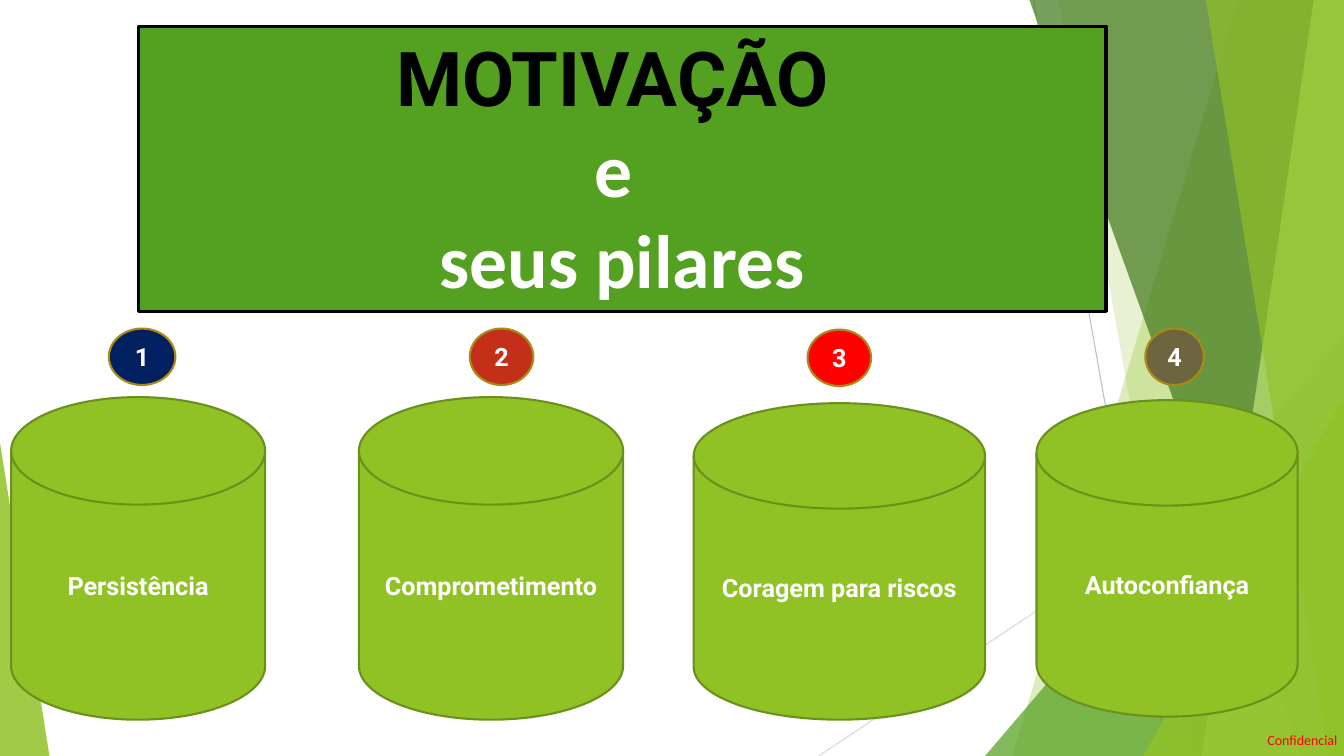
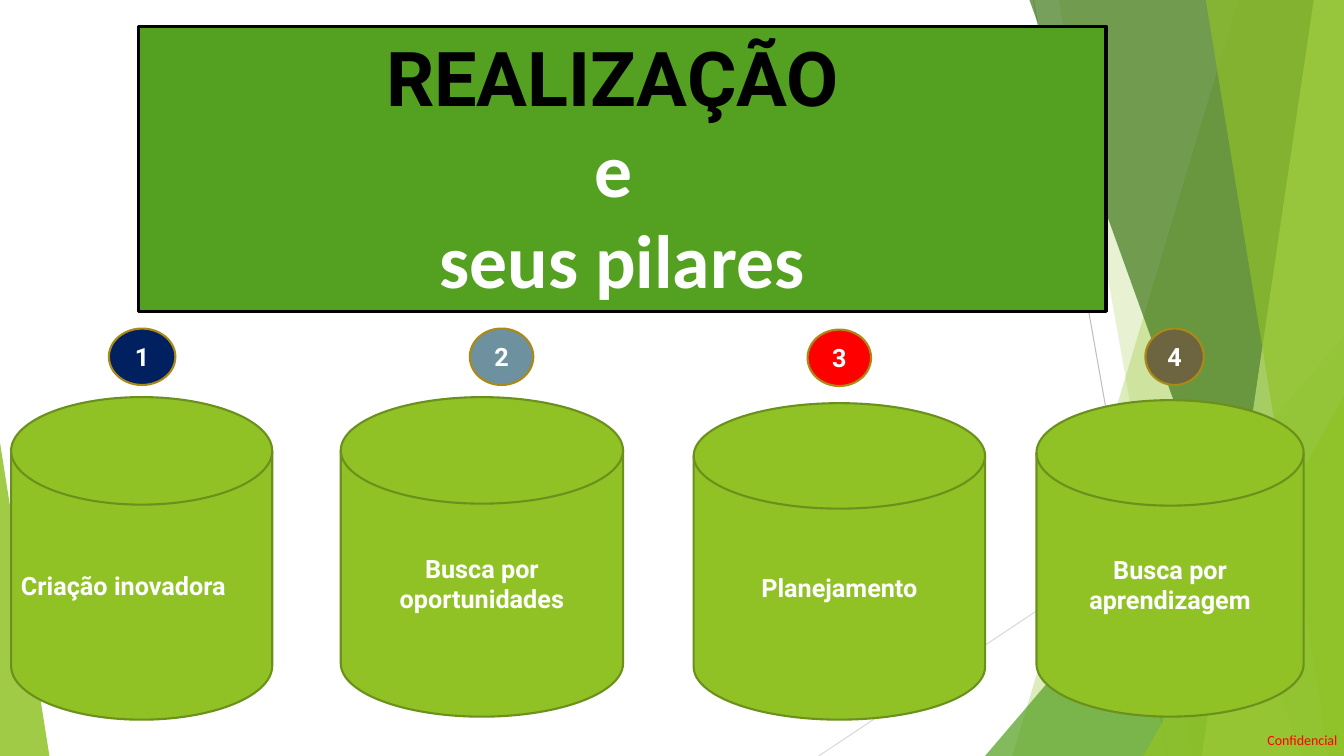
import lxml.etree
import pptx
import pptx.dml.color
import pptx.enum.shapes
import pptx.enum.text
import pptx.oxml.ns
import pptx.util

Inches = pptx.util.Inches
KIND = pptx.enum.shapes.MSO_SHAPE
ALIGN = pptx.enum.text.PP_ALIGN
ANCHOR = pptx.enum.text.MSO_ANCHOR
qn = pptx.oxml.ns.qn


class Theme:
    lime = "90C226"
    green = "54A021"
    dark = "3F7819"
    pale = "C0E474"
    edge = "6B901C"
    gold = "AA8916"
    navy = "002060"
    rust = "C42F1A"
    steel = "6E91A0"
    red = "FF0000"
    olive = "6D6540"
    black = "000000"
    white = "FFFFFF"
    silver = "BFBFBF"
    mist = "D9D9D9"
    head = "Roboto"
    body = "Calibri"
    big = 54
    mid = 18
    small = 10


def paint(shape, fill, line=None, width=1.5, alpha=None):
    """Fill and outline a shape; alpha is the opacity in percent."""
    rgb = pptx.dml.color.RGBColor.from_string
    shape.shadow.inherit = False
    shape.fill.solid()
    shape.fill.fore_color.rgb = rgb(fill)
    if alpha:
        tint = shape.fill._xPr.find(".//" + qn("a:srgbClr"))
        lxml.etree.SubElement(tint, qn("a:alpha"), val=str(alpha * 1000))
    if line:
        shape.line.color.rgb = rgb(line)
        shape.line.width = pptx.util.Pt(width)
    else:
        shape.line.fill.background()


def write(para, size, font, color, bold=True, align=ALIGN.CENTER):
    para.alignment = align
    for run in para.runs:
        run.font.size = pptx.util.Pt(size)
        run.font.name = font
        run.font.bold = bold
        run.font.color.rgb = pptx.dml.color.RGBColor.from_string(color)


WIDE, HIGH = 13.33, 7.5
deck = pptx.Presentation()
deck.slide_width, deck.slide_height = Inches(WIDE), Inches(HIGH)
layout = deck.slide_layouts.get_by_name("Title Only")

# Title, colour of badge 2, then label, left, top, width, height of each disk
topics = [
    ("MOTIVAÇÃO ", Theme.rust, [
        ("Persistência", 0.11, 3.94, 2.52, 3.2),
        ("Comprometimento", 3.56, 3.94, 2.62, 3.2),
        ("Coragem para riscos", 6.88, 4, 2.89, 3.14),
        ("Autoconfiança", 10.28, 3.97, 2.59, 3.14)]),
    ("REALIZAÇÃO ", Theme.steel, [
        ("Criação inovadora", 0.11, 3.94, 2.59, 3.2),
        ("Busca por oportunidades", 3.38, 3.94, 2.8, 3.17),
        ("Planejamento", 6.88, 4, 2.89, 3.14),
        ("Busca por aprendizagem", 10.28, 3.97, 2.65, 3.14)]),
]
slides = [deck.slides.add_slide(layout) for topic in topics]

# Shared backdrop: drawn once, then moved to the layout
shapes = slides[0].shapes
decor = []
for x1, y1, x2, y2, color in [(10.25, 0, 11.58, HIGH, Theme.silver),
                              (WIDE, 4.03, 8.12, HIGH, Theme.mist)]:
    line = shapes.add_connector(
        pptx.enum.shapes.MSO_CONNECTOR.STRAIGHT,
        Inches(x1), Inches(y1), Inches(x2), Inches(y2))
    line.line.color.rgb = pptx.dml.color.RGBColor.from_string(color)
    line.line.width = pptx.util.Pt(0.75)
    lxml.etree.SubElement(line.element.spPr, qn("a:effectLst"))
    decor.append(line)

# Bands run to the right edge from (top x, bottom x);
# triangles give left, top, width and the place of their tip
for spot, color, alpha in [
        ((12.28, 10.04), Theme.lime, 30),
        ((10.5, 11.83), Theme.lime, 20),
        ((9.77, 3.33, 3.56, 1), Theme.green, 72),
        ((10.21, 12.91), Theme.dark, 70),
        ((13.03, 11.92), Theme.pale, 70),
        ((11.96, 13.18), Theme.lime, 65),
        ((11.34, 3.93, 1.99, 1), Theme.lime, 80),
        ((0, 4.39, 0.49, 0), Theme.lime, 85)]:
    if len(spot) == 2:
        top, base = spot
        path = shapes.build_freeform(Inches(top), 0)
        path.add_line_segments(
            [(Inches(x), Inches(y))
             for x, y in [(WIDE, 0), (WIDE, HIGH), (base, HIGH)]])
        shard = path.convert_to_shape()
    else:
        left, top, width, tip = spot
        shard = shapes.add_shape(
            KIND.ISOSCELES_TRIANGLE, Inches(left), Inches(top),
            Inches(width), Inches(HIGH - top))
        shard.adjustments[0] = tip
    paint(shard, color, alpha=alpha)
    decor.append(shard)

label = shapes.add_textbox(
    Inches(12.57), Inches(7.26), Inches(0.73), Inches(0.17))
frame = label.text_frame
frame.word_wrap = True
frame.margin_left = frame.margin_right = 0
frame.margin_top = frame.margin_bottom = 0
frame.text = "Confidencial"
write(frame.paragraphs[0], Theme.small, Theme.body, Theme.red,
      bold=False, align=ALIGN.LEFT)
decor.append(label)

for item in decor:
    layout.shapes.element.append(item.element)

for slide, (name, second, disks) in zip(slides, topics):
    title = slide.shapes.title
    title.left, title.top = Inches(1.37), Inches(0.26)
    title.width, title.height = Inches(9.6), Inches(2.83)
    paint(title, Theme.green, Theme.black, 2.25)
    frame = title.text_frame
    frame.text = "\n".join([name, "e ", "seus pilares"])
    frame.auto_size = pptx.enum.text.MSO_AUTO_SIZE.NONE
    frame.vertical_anchor = ANCHOR.TOP
    first, *rest = frame.paragraphs
    write(first, Theme.big, Theme.head, Theme.black)
    for para in rest:
        write(para, Theme.big, Theme.body, Theme.white)

    badges = [(1.08, 3.26, 0.66, Theme.navy), (4.66, 3.26, 0.63, second),
              (8.01, 3.27, 0.63, Theme.red), (11.36, 3.26, 0.58, Theme.olive)]
    parts = [(KIND.OVAL, str(rank), left, top, width, 0.56, color, Theme.gold)
             for rank, (left, top, width, color) in enumerate(badges, 1)]
    parts += [(KIND.FLOWCHART_MAGNETIC_DISK, *disk, Theme.lime, Theme.edge)
              for disk in disks]
    for kind, text, left, top, width, height, fill, edge in parts:
        shape = slide.shapes.add_shape(
            kind, Inches(left), Inches(top), Inches(width), Inches(height))
        paint(shape, fill, edge)
        frame = shape.text_frame
        frame.word_wrap = True
        frame.vertical_anchor = ANCHOR.MIDDLE
        frame.text = text
        side = ALIGN.LEFT if text == "Criação inovadora" else ALIGN.CENTER
        write(frame.paragraphs[0], Theme.mid, Theme.head, Theme.white,
              align=side)

deck.save("out.pptx")
